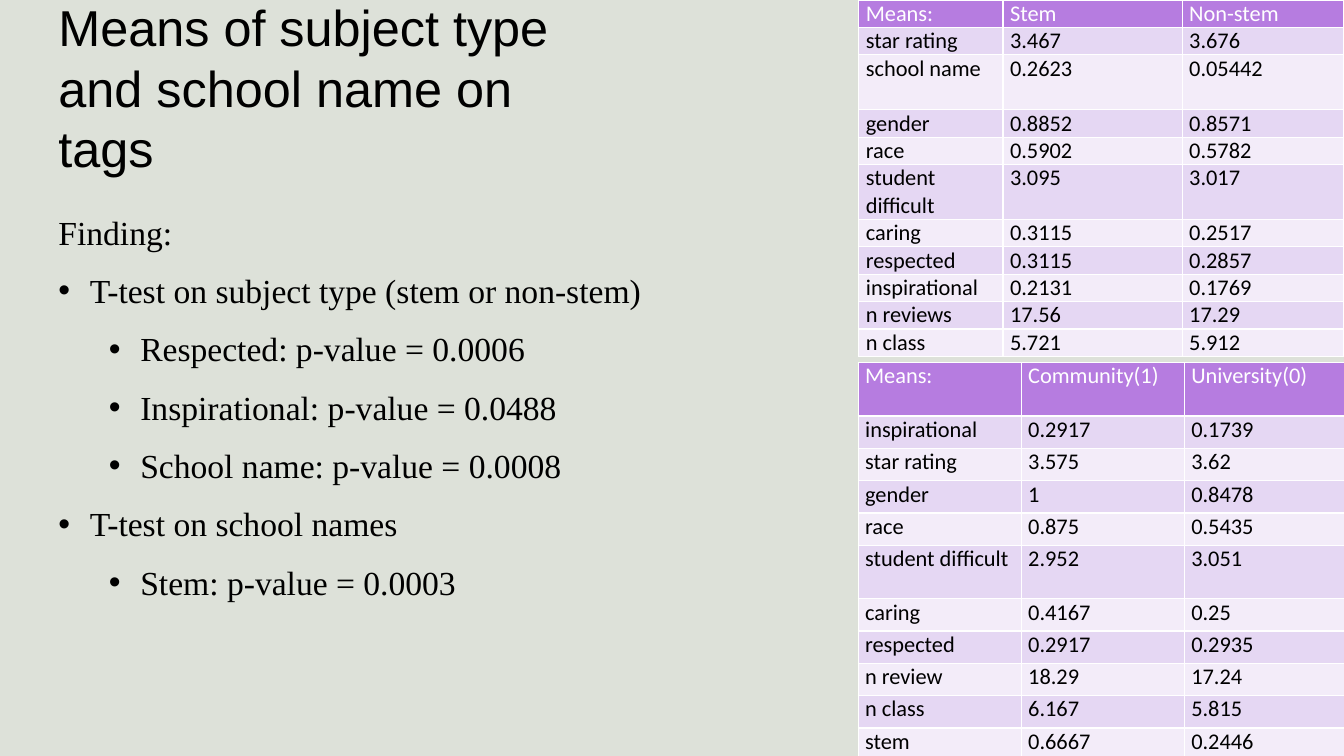
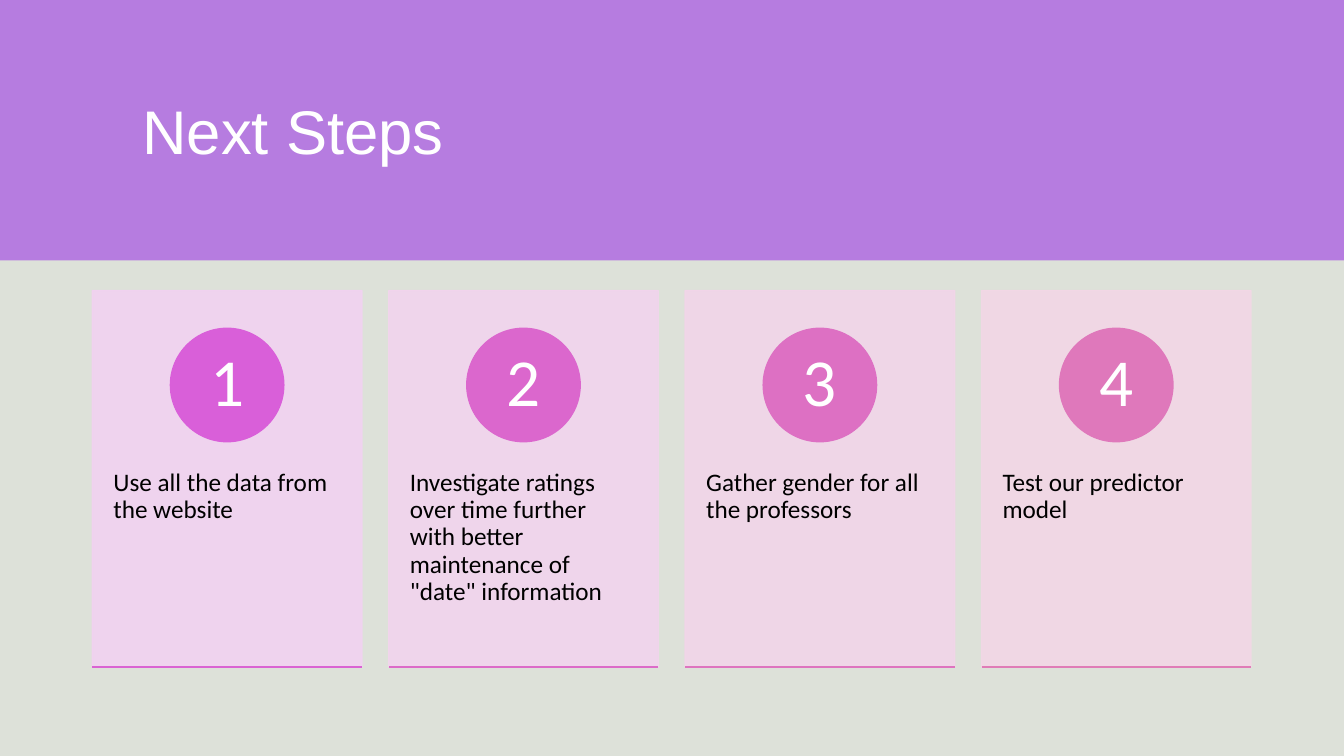
"""Build two slides: tag means by subject and school, and next steps."""
from lxml import etree
from pptx import Presentation
from pptx.dml.color import RGBColor
from pptx.enum import shapes, text
from pptx.oxml import ns
from pptx.util import Pt

PURPLE = RGBColor(0xB6, 0x7C, 0xE0)
LILAC = RGBColor(0xE5, 0xD7, 0xF3)
PALE_LILAC = RGBColor(0xF3, 0xEC, 0xF9)
SAGE = RGBColor(0xDD, 0xE1, 0xD9)
WHITE = RGBColor(0xFF, 0xFF, 0xFF)
BLACK = RGBColor(0x00, 0x00, 0x00)
CARD_TINTS = [RGBColor(0xF1, 0xD2, 0xF1), RGBColor(0xF2, 0xD4, 0xED),
              RGBColor(0xF2, 0xD5, 0xE9), RGBColor(0xF3, 0xD7, 0xE6)]
BADGE_PINKS = [RGBColor(0xD9, 0x5F, 0xD9), RGBColor(0xDB, 0x67, 0xCD),
               RGBColor(0xDD, 0x70, 0xC3), RGBColor(0xDF, 0x78, 0xBB)]
BASE_PINKS = [RGBColor(0xDA, 0x63, 0xD3), RGBColor(0xDC, 0x6B, 0xC8),
              RGBColor(0xDE, 0x74, 0xBF), RGBColor(0xE0, 0x7C, 0xB7)]


def style_text(frame, font_name, size, color, align=text.PP_ALIGN.LEFT):
    frame.word_wrap = True
    frame.auto_size = text.MSO_AUTO_SIZE.NONE
    for paragraph in frame.paragraphs:
        paragraph.alignment = align
        for run in paragraph.runs:
            run.font.name = font_name
            run.font.size = Pt(size)
            run.font.color.rgb = color


def place(part, left, top, width, height):
    part.left, part.top = Pt(left), Pt(top)
    part.width, part.height = Pt(width), Pt(height)


prs = Presentation()
prs.slide_width, prs.slide_height = Pt(960), Pt(540)
backdrop = prs.slide_master.background.fill
backdrop.solid()
backdrop.fore_color.rgb = SAGE

means = prs.slides.add_slide(prs.slide_layouts[1])
heading = means.shapes.title
place(heading, 34.5, 9.4, 394.5, 105.8)
heading.text_frame.text = "Means of subject type and school name on tags"
heading.text_frame.vertical_anchor = text.MSO_ANCHOR.MIDDLE
style_text(heading.text_frame, "Arial", 36, BLACK)

FINDINGS = [
    (0, "T-test on subject type (stem or non-stem)"),
    (1, "Respected: p-value = 0.0006"),
    (1, "Inspirational: p-value = 0.0488"),
    (1, "School name: p-value = 0.0008"),
    (0, "T-test on school names"),
    (1, "Stem: p-value = 0.0003"),
]
findings = means.placeholders[1]
place(findings, 34.5, 147.6, 579, 342.7)
intro = findings.text_frame.paragraphs[0]
intro.text = "Finding:"
intro.space_before = Pt(0)
intro_format = intro._p.get_or_add_pPr()
intro_format.set("marL", "0")
intro_format.set("indent", "0")
etree.SubElement(intro_format, ns.qn("a:buNone"))
for level, finding in FINDINGS:
    item = findings.text_frame.add_paragraph()
    item.text = finding
    item.level = level
    item.line_spacing = 1.1
    item.space_before = Pt(10)
    item_format = item._p.get_or_add_pPr()
    item_format.set("marL", str(Pt(22.5 + 36 * level)))
    item_format.set("indent", str(-Pt(22.5)))
    etree.SubElement(item_format, ns.qn("a:buFont"), typeface="Arial")
    etree.SubElement(item_format, ns.qn("a:buChar"), char="•")
style_text(findings.text_frame, "Times New Roman", 24, BLACK)

SUBJECT_MEANS = [
    ("Means:", "Stem", "Non-stem"),
    ("star rating", "3.467", "3.676"),
    ("school name", "0.2623", "0.05442"),
    ("gender", "0.8852", "0.8571"),
    ("race", "0.5902", "0.5782"),
    ("student difficult", "3.095", "3.017"),
    ("caring", "0.3115", "0.2517"),
    ("respected", "0.3115", "0.2857"),
    ("inspirational", "0.2131", "0.1769"),
    ("n reviews", "17.56", "17.29"),
    ("n class", "5.721", "5.912"),
]
SCHOOL_MEANS = [
    ("Means:", "Community(1)", "University(0)"),
    ("inspirational", "0.2917", "0.1739"),
    ("star rating", "3.575", "3.62"),
    ("gender", "1", "0.8478"),
    ("race", "0.875", "0.5435"),
    ("student difficult", "2.952", "3.051"),
    ("caring", "0.4167", "0.25"),
    ("respected", "0.2917", "0.2935"),
    ("n review", "18.29", "17.24"),
    ("n class", "6.167", "5.815"),
    ("stem", "0.6667", "0.2446"),
]
MEANS_TABLES = [
    (SUBJECT_MEANS, 613.5, 0, (103, 128, 115.5), 19.6, 39.2, (2, 5)),
    (SCHOOL_MEANS, 613, 259, (116.5, 116.5, 116.5), 23.1, 38.2, (0, 5)),
]
for records, left, top, widths, row_height, tall_height, tall_rows in MEANS_TABLES:
    heights = [tall_height if r in tall_rows else row_height for r in range(len(records))]
    grid = means.shapes.add_table(len(records), len(widths), Pt(left), Pt(top),
                                  Pt(sum(widths)), Pt(sum(heights))).table
    for column, width in zip(grid.columns, widths):
        column.width = Pt(width)
    for r, record in enumerate(records):
        grid.rows[r].height = Pt(heights[r])
        for c, entry in enumerate(record):
            cell = grid.cell(r, c)
            cell.margin_left = cell.margin_right = Pt(5)
            cell.margin_top = cell.margin_bottom = 0
            cell.fill.solid()
            cell.fill.fore_color.rgb = PURPLE if r == 0 else LILAC if r % 2 else PALE_LILAC
            cell.text_frame.text = entry
            entry_font = cell.text_frame.paragraphs[0].runs[0].font
            entry_font.name = "Calibri"
            entry_font.size = Pt(16)
            entry_font.bold = False
            entry_font.color.rgb = BLACK if r else WHITE

steps = prs.slides.add_slide(prs.slide_layouts[5])
heading = steps.shapes.title
place(heading, 94.5, 30, 788, 126)
heading.text_frame.text = "Next Steps"
heading.text_frame.vertical_anchor = text.MSO_ANCHOR.MIDDLE
style_text(heading.text_frame, "Arial", 44, WHITE)
band = steps.shapes.add_shape(shapes.MSO_SHAPE.RECTANGLE, 0, 0, prs.slide_width, Pt(186))
band.shadow.inherit = False
band.fill.solid()
band.fill.fore_color.rgb = PURPLE
band.line.fill.background()
heading.element.addprevious(band.element)

STEPS = [
    "Use all the data from the website",
    "Investigate ratings over time further with better maintenance of \"date\" information",
    "Gather gender for all the professors",
    "Test our predictor model",
]
CARD_LEFT, CARD_TOP, CARD_WIDTH, CARD_HEIGHT = 66, 207.5, 192.5, 269
CARD_PITCH = 211.7
BADGE_SIZE = 81
for i, step in enumerate(STEPS):
    left = CARD_LEFT + i * CARD_PITCH
    card = steps.shapes.add_shape(shapes.MSO_SHAPE.RECTANGLE, Pt(left), Pt(CARD_TOP),
                                  Pt(CARD_WIDTH), Pt(CARD_HEIGHT))
    badge = steps.shapes.add_shape(shapes.MSO_SHAPE.OVAL,
                                   Pt(left + (CARD_WIDTH - BADGE_SIZE) / 2), Pt(234.5),
                                   Pt(BADGE_SIZE), Pt(BADGE_SIZE))
    for part, color, label in ((card, CARD_TINTS[i], step), (badge, BADGE_PINKS[i], str(i + 1))):
        part.shadow.inherit = False
        part.fill.solid()
        part.fill.fore_color.rgb = color
        part.line.color.rgb = color
        part.line.width = Pt(1)
        part.text_frame.text = label
        part.text_frame.paragraphs[0].line_spacing = 0.9
    for tint in card.element.spPr.iter(ns.qn("a:srgbClr")):
        etree.SubElement(tint, ns.qn("a:alpha"), val="90000")

    caption = card.text_frame
    caption.vertical_anchor = text.MSO_ANCHOR.TOP
    caption.margin_left = caption.margin_right = Pt(15)
    caption.margin_top = Pt(128)
    style_text(caption, "Calibri", 18, BLACK)

    number = badge.text_frame
    number.vertical_anchor = text.MSO_ANCHOR.MIDDLE
    number.margin_top = number.margin_bottom = Pt(1)
    style_text(number, "Calibri", 48, WHITE, text.PP_ALIGN.CENTER)

    bottom = Pt(CARD_TOP + CARD_HEIGHT)
    base = steps.shapes.add_connector(shapes.MSO_CONNECTOR.STRAIGHT, Pt(left), bottom,
                                      Pt(left + CARD_WIDTH), bottom)
    base.line.color.rgb = BASE_PINKS[i]
    base.line.width = Pt(1)
    etree.SubElement(base.element.spPr, ns.qn("a:effectLst"))

prs.save("out.pptx")
